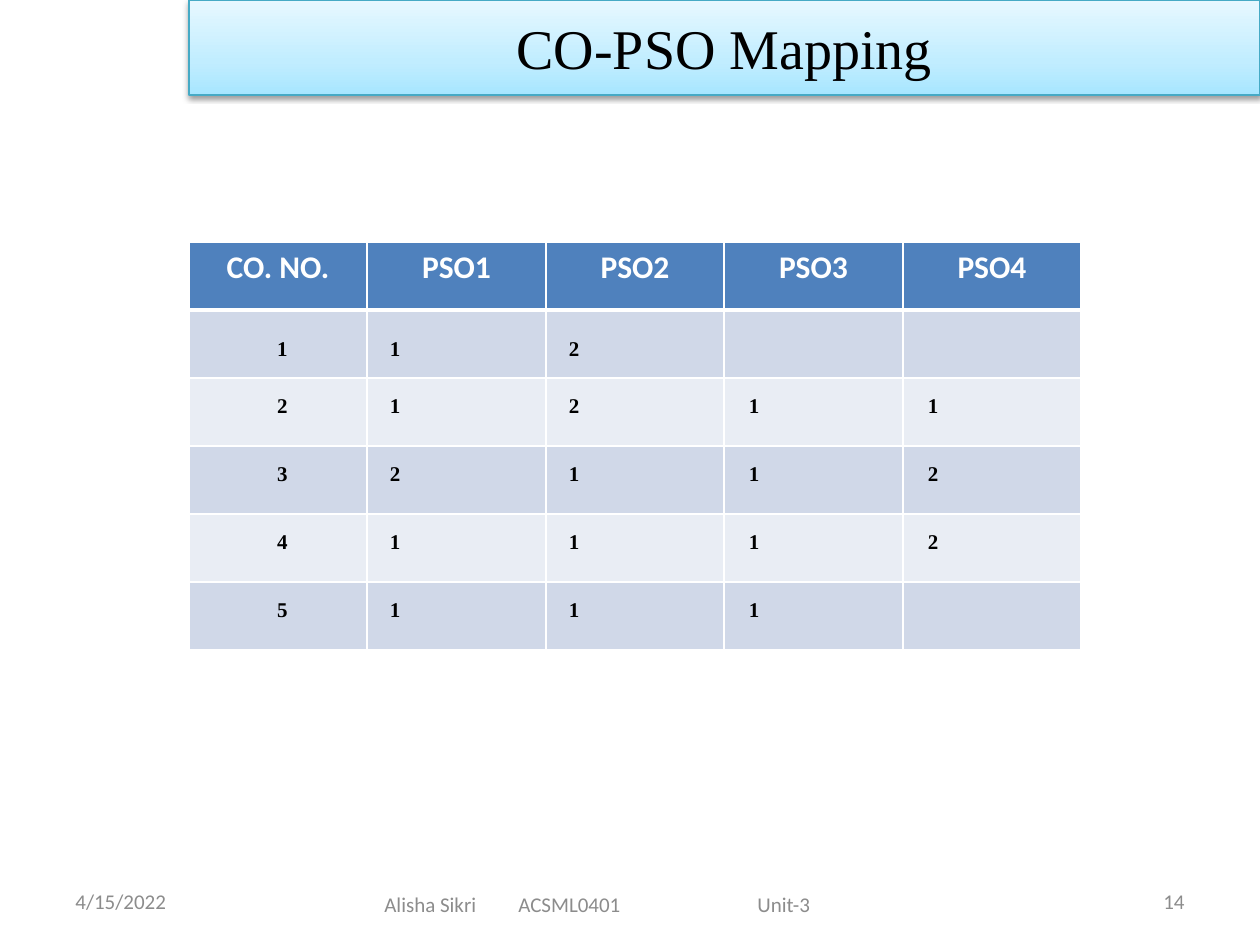
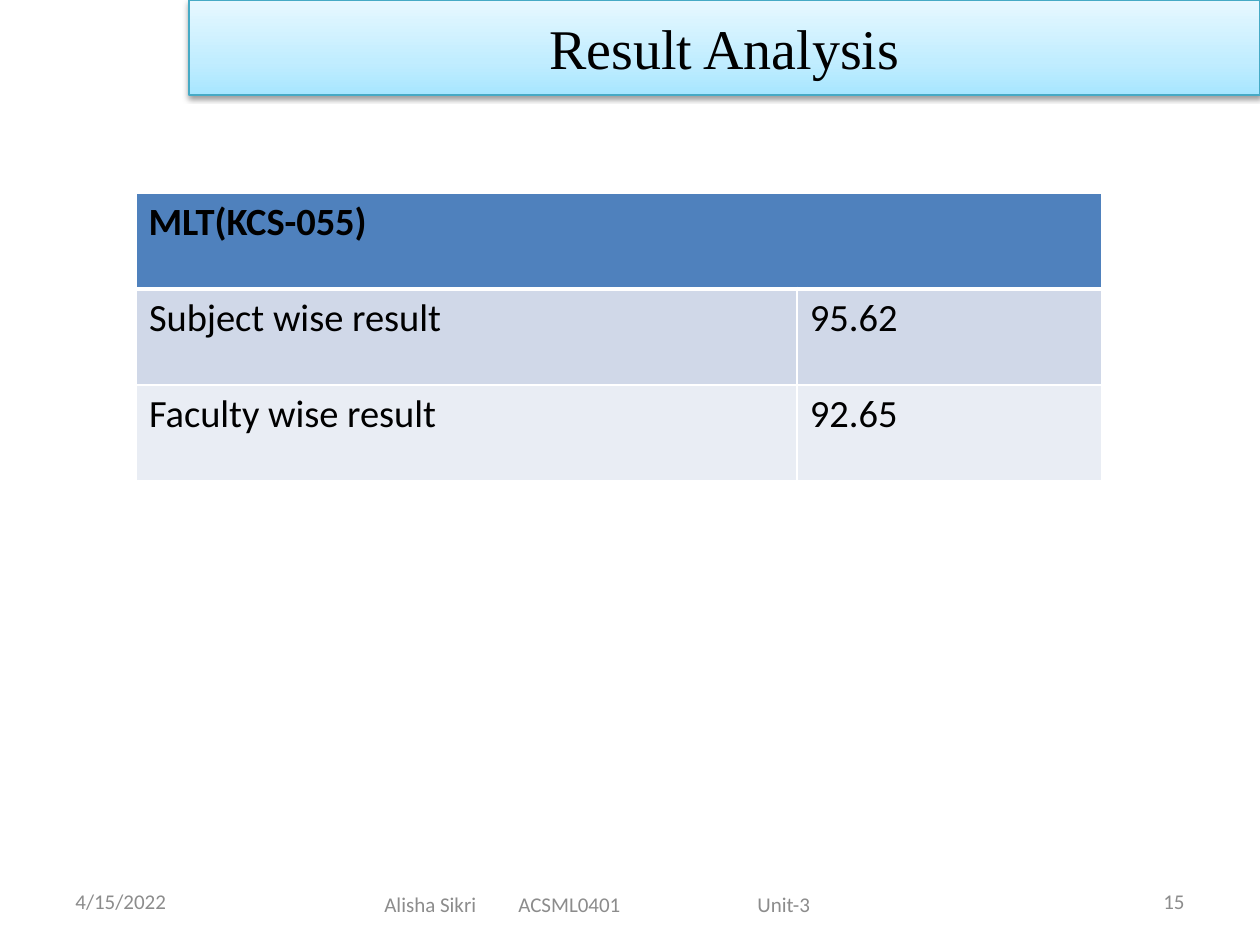
from dataclasses import dataclass

from lxml.etree import SubElement
from pptx import Presentation
from pptx.dml.color import RGBColor
from pptx.enum.text import MSO_ANCHOR, PP_ALIGN as Align
from pptx.oxml import parse_xml
from pptx.oxml.ns import nsdecls, qn
from pptx.util import Emu, Pt

EMU_PER_INCH = 914400
PX_PER_INCH = 126


@dataclass(frozen=True)
class Style:
    font: str
    size: int
    color: str
    bold: bool = False


@dataclass(frozen=True)
class Theme:
    title: Style = Style("Times New Roman", 32, "000000")
    footer: Style = Style("Calibri", 12, "8C8C8C")
    mapping_head: Style = Style("Calibri", 18, "FFFFFF", True)
    mapping_body: Style = Style("Times New Roman", 12, "000000", True)
    result_head: Style = Style("Calibri", 22, "000000", True)
    result_body: Style = Style("Calibri", 22, "000000")
    band_stops: tuple = ((0, "A7E6FF"), (35, "C1EDFF"), (100, "E7F8FF"))
    band_line: str = "46AAC5"
    shadow: str = "000000"
    head_fill: str = "4F81BD"
    row_fills: tuple = ("D0D8E8", "E9EDF4")
    grid: str = "FFFFFF"


THEME = Theme()


@dataclass(frozen=True)
class Box:
    left: int
    top: int
    width: int
    height: int


@dataclass(frozen=True)
class Column:
    width: int
    align: Align = Align.LEFT
    indent: int = 13


@dataclass(frozen=True)
class Grid:
    left: int
    top: int
    row_height: int
    columns: tuple
    rows: tuple
    head: Style
    body: Style
    head_align: Align
    body_tops: tuple


@dataclass(frozen=True)
class Page:
    title: str
    number: int
    grid: Grid


TITLE_BAND = Box(189, 0, 1071, 95)
DATE_BOX = Box(63, 876, 294, 50)
NUMBER_BOX = Box(903, 876, 294, 50)
COURSE_BOX = Box(189, 882, 819, 44)
COURSE_TABS = (183, 317, 556)

MAPPING = Grid(
    left=189, top=242, row_height=68,
    columns=(Column(178, Align.CENTER, 9), Column(179, indent=23),
             Column(178, indent=23), Column(179, indent=25), Column(178, indent=25)),
    rows=(("CO. NO.", "PSO1", "PSO2", "PSO3", "PSO4"),
          ("1", "1", "2", "", ""),
          ("2", "1", "2", "1", "1"),
          ("3", "2", "1", "1", "2"),
          ("4", "1", "1", "1", "2"),
          ("5", "1", "1", "1", "")),
    head=THEME.mapping_head, body=THEME.mapping_body,
    head_align=Align.CENTER, body_tops=(28, 17, 17, 17, 17))

RESULTS = Grid(
    left=136, top=193, row_height=96,
    columns=(Column(661), Column(305)),
    rows=(("MLT(KCS-055)", ""),
          ("Subject wise result", "95.62"),
          ("Faculty wise result", "92.65")),
    head=THEME.result_head, body=THEME.result_body,
    head_align=Align.LEFT, body_tops=(6, 6))

PAGES = (Page("CO-PSO Mapping", 14, MAPPING), Page("Result Analysis", 15, RESULTS))


def px(length: int) -> Emu:
    return Emu(round(length * EMU_PER_INCH / PX_PER_INCH))


def place(sp, box: Box) -> None:
    sp.left, sp.top = px(box.left), px(box.top)
    sp.width, sp.height = px(box.width), px(box.height)


def format_text(tf, style: Style, align: Align) -> None:
    for p in tf.paragraphs:
        p.alignment = align
        for font in (p.font, *(r.font for r in p.runs)):
            font.name, font.size, font.bold = style.font, Pt(style.size), style.bold
            font.color.rgb = RGBColor.from_string(style.color)


def add_title(slide, text: str) -> None:
    sp = slide.shapes.title
    place(sp, TITLE_BAND)
    tf = sp.text_frame
    tf.text = text
    tf.vertical_anchor = MSO_ANCHOR.MIDDLE
    format_text(tf, THEME.title, Align.CENTER)
    stops = "".join(f'<a:gs pos="{pos * 1000}"><a:srgbClr val="{color}"/></a:gs>'
                    for pos, color in THEME.band_stops)
    sp_pr = sp.element.spPr
    sp_pr.append(parse_xml(
        f'<a:gradFill {nsdecls("a")} rotWithShape="1"><a:gsLst>{stops}</a:gsLst>'
        '<a:lin ang="16200000" scaled="1"/></a:gradFill>'))
    sp.line.color.rgb = RGBColor.from_string(THEME.band_line)
    sp.line.width = Pt(0.75)
    sp_pr.append(parse_xml(
        f'<a:effectLst {nsdecls("a")}><a:outerShdw blurRad="40000" dist="20000" '
        f'dir="5400000" rotWithShape="0"><a:srgbClr val="{THEME.shadow}">'
        '<a:alpha val="38000"/></a:srgbClr></a:outerShdw></a:effectLst>'))


def add_footer_text(slide, box: Box, text: str, align: Align = Align.LEFT,
                    tabs: tuple = ()) -> None:
    sp = slide.shapes.add_textbox(0, 0, 0, 0)
    place(sp, box)
    tf = sp.text_frame
    tf.word_wrap = True
    tf.vertical_anchor = MSO_ANCHOR.MIDDLE
    tf.text = text
    if tabs:
        tab_list = SubElement(tf.paragraphs[0]._p.get_or_add_pPr(), qn("a:tabLst"))
        for tab in tabs:
            SubElement(tab_list, qn("a:tab"), pos=str(px(tab)), algn="l")
    format_text(tf, THEME.footer, align)


def add_footer(slide, number: int) -> None:
    add_footer_text(slide, DATE_BOX, "4/15/2022")
    add_footer_text(slide, NUMBER_BOX, str(number), Align.RIGHT)
    add_footer_text(slide, COURSE_BOX, "\tAlisha Sikri\tACSML0401\tUnit-3", tabs=COURSE_TABS)


def set_borders(cell, row: int) -> None:
    """Draw thin grid lines, with a heavier one under the header row."""
    widths = {"L": 1, "R": 1, "T": 3 if row == 1 else 1, "B": 3 if row == 0 else 1}
    for i, (side, width) in enumerate(widths.items()):
        cell._tc.get_or_add_tcPr().insert(i, parse_xml(
            f'<a:ln{side} {nsdecls("a")} w="{Pt(width)}"><a:solidFill>'
            f'<a:srgbClr val="{THEME.grid}"/></a:solidFill></a:ln{side}>'))


def fill_cell(cell, grid: Grid, row: int, column: Column, text: str) -> None:
    if row == 0:
        style, align, color = grid.head, grid.head_align, THEME.head_fill
    else:
        style, align, color = grid.body, column.align, THEME.row_fills[(row - 1) % 2]
        cell.margin_left, cell.margin_top = px(column.indent), px(grid.body_tops[row - 1])
        cell.margin_right = cell.margin_bottom = 0
    cell.fill.solid()
    cell.fill.fore_color.rgb = RGBColor.from_string(color)
    set_borders(cell, row)
    cell.text_frame.text = text
    format_text(cell.text_frame, style, align)


def add_grid(slide, grid: Grid) -> None:
    width = sum(column.width for column in grid.columns)
    height = grid.row_height * len(grid.rows)
    table = slide.shapes.add_table(len(grid.rows), len(grid.columns), px(grid.left),
                                   px(grid.top), px(width), px(height)).table
    for i, column in enumerate(grid.columns):
        table.columns[i].width = px(column.width)
    for row, texts in enumerate(grid.rows):
        table.rows[row].height = px(grid.row_height)
        for i, (column, text) in enumerate(zip(grid.columns, texts)):
            fill_cell(table.cell(row, i), grid, row, column, text)
    if not any(grid.rows[0][1:]):
        table.cell(0, 0).merge(table.cell(0, len(grid.columns) - 1))


def main() -> None:
    prs = Presentation()
    prs.slide_width, prs.slide_height = px(1260), px(945)
    title_only = prs.slide_layouts[5]
    for page in PAGES:
        slide = prs.slides.add_slide(title_only)
        add_title(slide, page.title)
        add_footer(slide, page.number)
        add_grid(slide, page.grid)
    prs.save("out.pptx")


if __name__ == "__main__":
    main()
